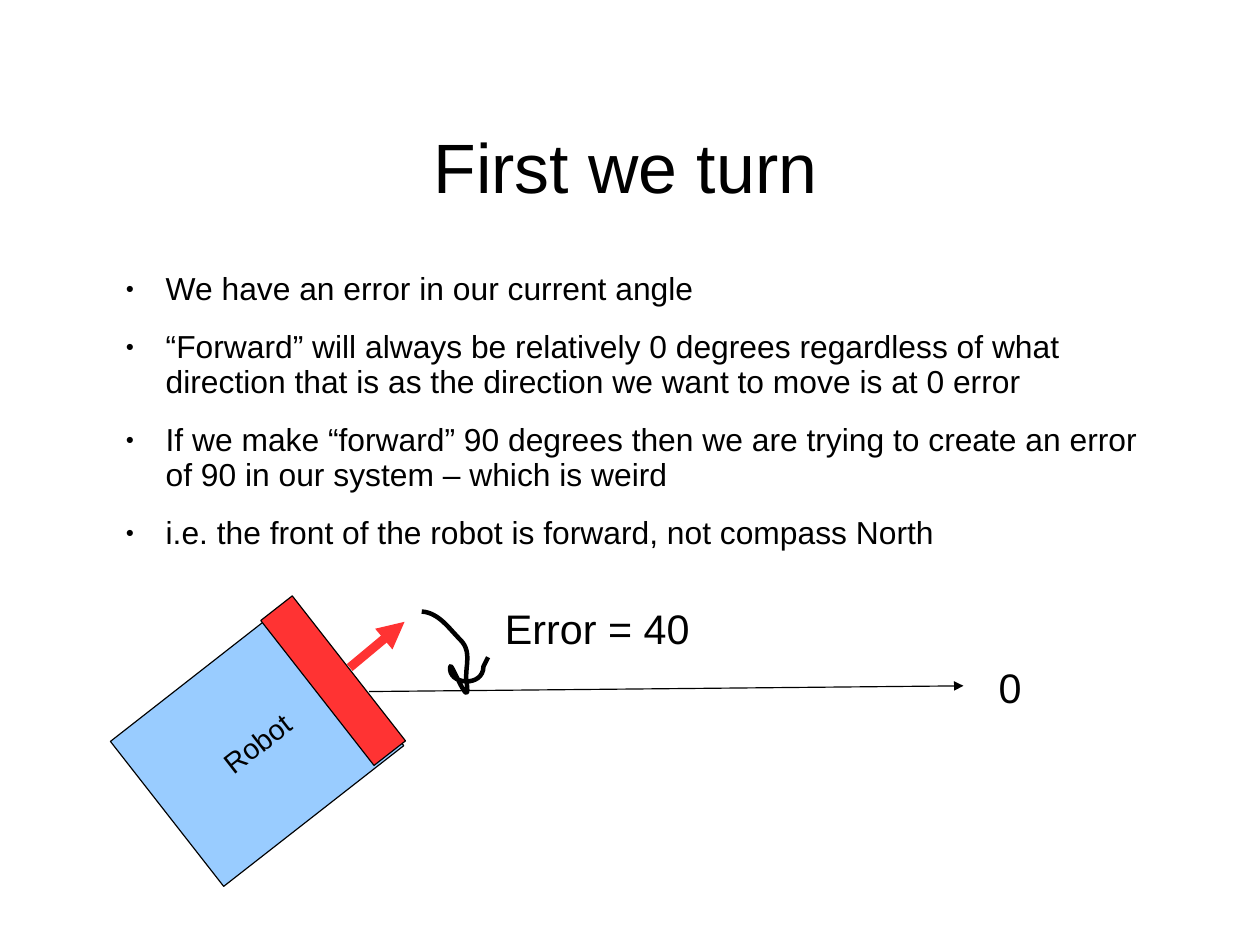
"""Build the slide "First we turn" with the robot heading diagram."""
from dataclasses import dataclass

from lxml import etree
from pptx import Presentation
from pptx.dml.color import RGBColor
from pptx.enum.shapes import MSO_CONNECTOR, MSO_SHAPE
from pptx.enum.text import MSO_ANCHOR, MSO_AUTO_SIZE, PP_ALIGN
from pptx.oxml.ns import qn
from pptx.util import Emu, Pt

STRAIGHT = MSO_CONNECTOR.STRAIGHT
RECTANGLE = MSO_SHAPE.RECTANGLE
TOP, MIDDLE = MSO_ANCHOR.TOP, MSO_ANCHOR.MIDDLE
LEFT, CENTER = PP_ALIGN.LEFT, PP_ALIGN.CENTER
NO_AUTOFIT = MSO_AUTO_SIZE.NONE

BLACK = RGBColor(0x00, 0x00, 0x00)
RED = RGBColor(0xFF, 0x33, 0x33)
BLUE = RGBColor(0x99, 0xCC, 0xFF)

SLIDE_WIDTH, SLIDE_HEIGHT = Emu(10080625), Emu(7559675)
PX = 9144
FONT = "Arial"
LINE_SPACING = 0.93
HEADING = 322
CURVE_STEPS = 16

Point = tuple[float, float]


@dataclass(frozen=True)
class Box:
    """A rectangle on the slide in px."""
    left: int
    top: int
    width: int
    height: int


@dataclass(frozen=True)
class Label:
    """A short free-standing text."""
    box: Box
    text: str


@dataclass(frozen=True)
class Part:
    """A turned rectangle of the robot."""
    box: Box
    fill: RGBColor
    text: str


@dataclass(frozen=True)
class Arrow:
    """A straight arrow from start to end."""
    start: tuple[int, int]
    end: tuple[int, int]
    color: RGBColor
    width: float


TITLE_BOX = Box(91, 78, 913, 138)
BODY_BOX = Box(98, 236, 906, 472)
BULLETS = [
    "We have an error in our current angle",
    "“Forward” will always be relatively 0 degrees regardless of what "
    "direction that is as the direction we want to move is at 0 error",
    "If we make “forward” 90 degrees then we are trying to create an error "
    "of 90 in our system – which is weird",
    "i.e. the front of the robot is forward, not compass North",
]
FORWARD_ARROW = Arrow((306, 584), (354, 544), RED, 5.67)
ZERO_ARROW = Arrow((323, 605), (843, 600), BLACK, 0.75)
ROBOT = [
    Part(Box(125, 570, 200, 161), BLUE, "Robot"),
    Part(Box(274, 515, 35, 161), RED, ""),
]
LABELS = [
    Label(Box(864, 576, 40, 50), "0"),
    Label(Box(432, 525, 182, 50), "Error = 40"),
]
TURN_START = (369, 535)
TURN_CURVES = [
    ((384, 536), (393, 550), (403, 560)),
    ((413, 570), (407, 583), (408, 595)),
    ((413, 627), (395, 579), (394, 583)),
    ((391, 599), (423, 602), (423, 583)),
]
TURN_END = (427, 575)


def place(box: Box) -> tuple[Emu, Emu, Emu, Emu]:
    """Return the box as left, top, width and height in EMU."""
    return tuple(Emu(v * PX) for v in (box.left, box.top, box.width, box.height))


def set_frame(tf, margins: tuple[int, int, int, int], anchor, wrap: bool) -> None:
    """Set the margins, anchor and wrapping of a text frame."""
    tf.auto_size = NO_AUTOFIT
    tf.word_wrap = wrap
    tf.vertical_anchor = anchor
    tf.margin_left, tf.margin_top, tf.margin_right, tf.margin_bottom = (
        Emu(m * PX) for m in margins)


def add_run(p, text: str, size: int, align) -> None:
    """Add one black run to a paragraph and set its alignment."""
    p.alignment = align
    p.line_spacing = LINE_SPACING
    r = p.add_run()
    r.text = text
    r.font.name = FONT
    r.font.size = Pt(size)
    r.font.color.rgb = BLACK


def add_bullet(p) -> None:
    """Give a paragraph a hanging round bullet."""
    pPr = p._p.get_or_add_pPr()
    pPr.set("marL", str(47 * PX))
    pPr.set("indent", str(-35 * PX))
    color = etree.SubElement(pPr, qn("a:buClr"))
    etree.SubElement(color, qn("a:srgbClr"), val=str(BLACK))
    etree.SubElement(pPr, qn("a:buSzPct"), val="45000")
    etree.SubElement(pPr, qn("a:buFont"), typeface=FONT)
    etree.SubElement(pPr, qn("a:buChar"), char="●")


def add_body(s) -> None:
    """Add the bulleted list."""
    tf = s.shapes.add_textbox(*place(BODY_BOX)).text_frame
    set_frame(tf, (0, 2, 0, 0), TOP, True)
    for i, text in enumerate(BULLETS):
        p = tf.add_paragraph() if i else tf.paragraphs[0]
        add_bullet(p)
        p.space_after = Pt(14.1)
        add_run(p, text, 20, LEFT)


def add_label(s, label: Label) -> None:
    """Add a label of the diagram."""
    tf = s.shapes.add_textbox(*place(label.box)).text_frame
    set_frame(tf, (10, 7, 10, 5), TOP, False)
    add_run(tf.paragraphs[0], label.text, 26, LEFT)


def add_part(s, part: Part) -> None:
    """Add a part of the robot, turned to its heading."""
    sp = s.shapes.add_shape(RECTANGLE, *place(part.box))
    sp.rotation = HEADING
    sp.shadow.inherit = False
    sp.fill.solid()
    sp.fill.fore_color.rgb = part.fill
    sp.line.color.rgb = BLACK
    sp.line.width = Pt(0.75)
    if part.text:
        set_frame(sp.text_frame, (10, 7, 10, 5), MIDDLE, False)
        add_run(sp.text_frame.paragraphs[0], part.text, 18, CENTER)


def add_arrow(s, arrow: Arrow) -> None:
    """Add a line with an arrowhead at its end."""
    ends = (Emu(v * PX) for v in arrow.start + arrow.end)
    line = s.shapes.add_connector(STRAIGHT, *ends)
    line.line.color.rgb = arrow.color
    line.line.width = Pt(arrow.width)
    etree.SubElement(line.line._get_or_add_ln(), qn("a:tailEnd"), type="triangle")
    etree.SubElement(line._element.spPr, qn("a:effectLst"))


def bezier(a: Point, b: Point, c: Point, d: Point) -> list[Point]:
    """Return points along a cubic curve, without its start."""
    points = []
    for step in range(1, CURVE_STEPS + 1):
        t = step / CURVE_STEPS
        u = 1 - t
        weights = (u ** 3, 3 * u * u * t, 3 * u * t * t, t ** 3)
        x, y = (sum(w * v for w, v in zip(weights, axis)) for axis in zip(a, b, c, d))
        points.append((x, y))
    return points


def add_turn(s) -> None:
    """Add the hand-drawn turning arrow."""
    points = [TURN_START]
    for curve in TURN_CURVES:
        points += bezier(points[-1], *curve)
    points.append(TURN_END)
    start, *rest = [(x * PX, y * PX) for x, y in points]
    builder = s.shapes.build_freeform(*start)
    builder.add_line_segments(rest, close=False)
    sp = builder.convert_to_shape()
    sp.shadow.inherit = False
    sp.fill.background()
    sp.line.color.rgb = BLACK
    sp.line.width = Pt(2.83)


def main() -> None:
    """Build and save the slide."""
    prs = Presentation()
    prs.slide_width, prs.slide_height = SLIDE_WIDTH, SLIDE_HEIGHT
    s = prs.slides.add_slide(prs.slide_layouts[5])
    title = s.shapes.title
    title.left, title.top, title.width, title.height = place(TITLE_BOX)
    set_frame(title.text_frame, (0, 4, 0, 0), MIDDLE, True)
    add_run(title.text_frame.paragraphs[0], "First we turn", 44, CENTER)
    add_body(s)
    add_arrow(s, FORWARD_ARROW)
    for part in ROBOT:
        add_part(s, part)
    add_arrow(s, ZERO_ARROW)
    add_turn(s)
    for label in LABELS:
        add_label(s, label)
    prs.save("out.pptx")


if __name__ == "__main__":
    main()
